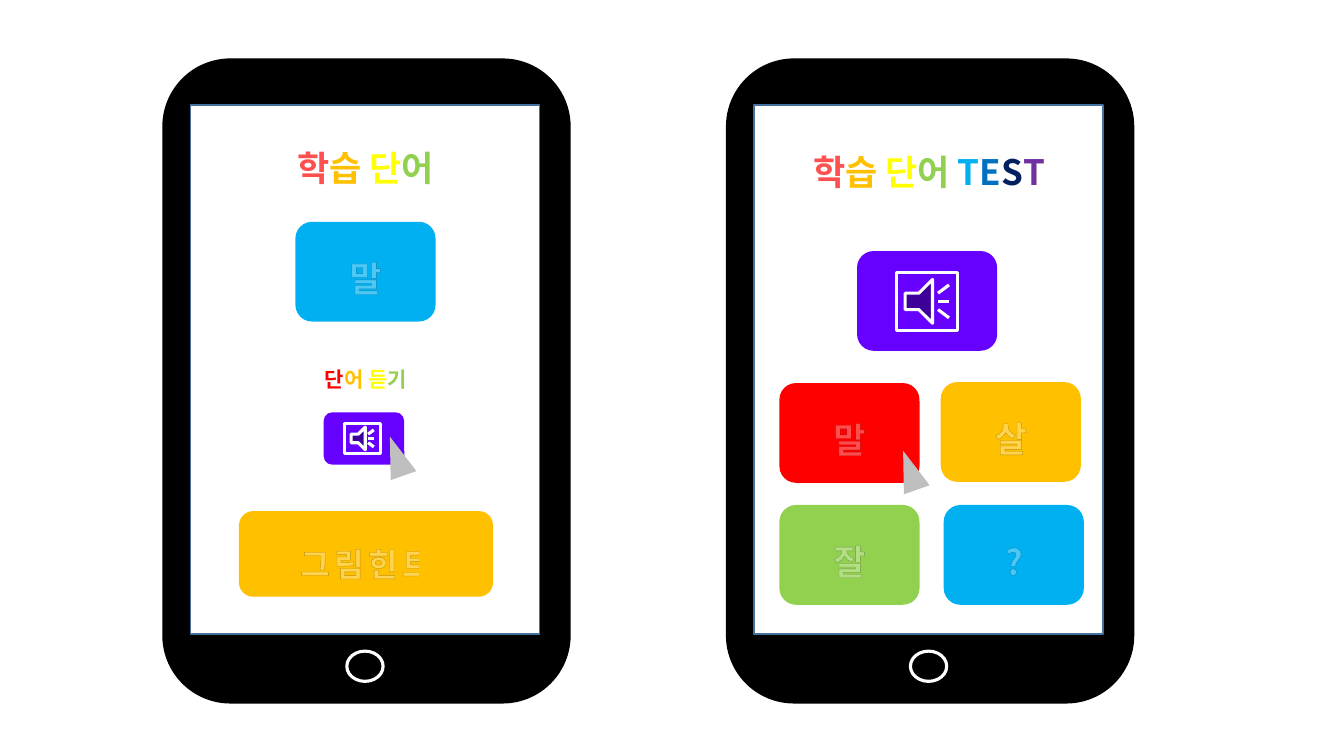
from dataclasses import dataclass

import pptx
import pptx.dml.color
import pptx.enum.shapes
import pptx.enum.text
import pptx.oxml
import pptx.oxml.ns
import pptx.util
from pptx.util import Inches

SHAPE = pptx.enum.shapes.MSO_SHAPE


@dataclass(frozen=True)
class Theme:
    font: str = "Noto Sans CJK KR"
    black: str = "000000"
    white: str = "FFFFFF"
    screen_edge: str = "43739E"
    text_edge: str = "262626"
    cursor: str = "BFBFBF"
    coral: str = "FF5050"
    red: str = "FF0000"
    amber: str = "FFC000"
    yellow: str = "FFFF00"
    green: str = "92D050"
    sky: str = "00B0F0"
    blue: str = "0070C0"
    navy: str = "002060"
    plum: str = "7030A0"
    violet: str = "6600FF"
    title_size: int = 25
    hint_size: int = 23
    caption_size: int = 15
    label_spacing: int = 300
    icon_line: float = 2.25


class Mockup:
    def __init__(self, slide, theme):
        self.slide = slide
        self.theme = theme

    def shape(self, kind, left, top, width, height, fill, line=None, line_width=1):
        shape = self.slide.shapes.add_shape(
            kind, Inches(left), Inches(top), Inches(width), Inches(height))
        shape.shadow.inherit = False
        shape.fill.solid()
        shape.fill.fore_color.rgb = pptx.dml.color.RGBColor.from_string(fill)
        if line:
            shape.line.color.rgb = pptx.dml.color.RGBColor.from_string(line)
            shape.line.width = pptx.util.Pt(line_width)
        else:
            shape.line.fill.background()
        return shape

    def text(self, left, top, width, height, pieces, size, line_spacing=None, tracking=None):
        box = self.slide.shapes.add_textbox(
            Inches(left), Inches(top), Inches(width), Inches(height))
        frame = box.text_frame
        frame.word_wrap = False
        frame.auto_size = pptx.enum.text.MSO_AUTO_SIZE.SHAPE_TO_FIT_TEXT
        paragraph = frame.paragraphs[0]
        paragraph.alignment = pptx.enum.text.PP_ALIGN.CENTER
        if line_spacing:
            paragraph.line_spacing = line_spacing
        paragraph.font.size = pptx.util.Pt(size)
        paragraph.font.bold = True
        paragraph.font.name = self.theme.font
        for words, color in pieces:
            run = paragraph.add_run()
            run.text = words
            run.font.color.rgb = pptx.dml.color.RGBColor.from_string(color)
            self.outline(run, tracking)

    def outline(self, run, tracking):
        """Thin translucent letter edge, East Asian font and letter spacing."""
        properties = run.font._element
        namespace = pptx.oxml.ns.nsdecls("a")
        properties.insert(0, pptx.oxml.parse_xml(
            f'<a:ln {namespace} w="9525"><a:solidFill><a:srgbClr val="{self.theme.text_edge}">'
            '<a:alpha val="30000"/></a:srgbClr></a:solidFill></a:ln>'))
        properties.append(pptx.oxml.parse_xml(
            f'<a:ea {namespace} typeface="{self.theme.font}"/>'))
        if tracking:
            properties.set("spc", str(tracking))

    def phone(self, left):
        t = self.theme
        self.shape(SHAPE.ROUNDED_RECTANGLE, left, 0.58, 4.05, 6.4, t.black)
        self.shape(SHAPE.RECTANGLE, left + 0.28, 1.04, 3.46, 5.25, t.white, t.screen_edge)
        self.shape(SHAPE.OVAL, left + 1.83, 6.46, 0.36, 0.3, t.black, t.white, t.icon_line)

    def button(self, left, top, fill, width=1.39, height=0.99):
        self.shape(SHAPE.ROUNDED_RECTANGLE, left, top, width, height, fill)

    def word_button(self, left, top, fill, word, width=1.39, height=0.99,
                    size=None, label_width=0.59):
        self.button(left, top, fill, width, height)
        self.text(left + (width - label_width) / 2, top + 0.09, label_width, 0.63,
                  [(word, self.theme.white)], size or self.theme.title_size,
                  line_spacing=1.5, tracking=self.theme.label_spacing)

    def sound_icon(self, left, top, width, height):
        self.shape(SHAPE.ACTION_BUTTON_SOUND, left, top, width, height,
                   self.theme.violet, self.theme.white, self.theme.icon_line)

    def cursor(self, left, top):
        pointer = self.shape(SHAPE.ISOSCELES_TRIANGLE, left, top, 0.27, 0.41, self.theme.cursor)
        pointer.rotation = 340.7


presentation = pptx.Presentation()
presentation.slide_width = Inches(13.33)
presentation.slide_height = Inches(7.5)
theme = Theme()
mockup = Mockup(presentation.slides.add_slide(presentation.slide_layouts[6]), theme)

heading = [("학", theme.coral), ("습 ", theme.amber), ("단", theme.yellow)]

# Study screen
mockup.phone(1.61)
mockup.text(2.78, 1.4, 1.69, 0.52, heading + [("어", theme.green)], theme.title_size)
mockup.word_button(2.93, 2.2, theme.sky, "말")

# Listening button
listen_caption = [("단", theme.red), ("어 ", theme.amber),
                  ("듣", theme.yellow), ("기", theme.green)]
mockup.text(3.08, 3.59, 1.1, 0.35, listen_caption, theme.caption_size)
mockup.button(3.21, 4.09, theme.violet, 0.8, 0.52)
mockup.sound_icon(3.42, 4.2, 0.35, 0.3)

# Picture hint
mockup.word_button(2.37, 5.07, theme.amber, "그림힌트", 2.52, 0.85,
                   theme.hint_size, label_width=1.64)
mockup.cursor(3.8, 4.32)

# Test screen
mockup.phone(7.2)
test_heading = heading + [("어 ", theme.green), ("T", theme.sky), ("E", theme.blue),
                          ("S", theme.navy), ("T ", theme.plum)]
mockup.text(7.8, 1.44, 2.91, 0.52, test_heading, theme.title_size)
mockup.button(8.5, 2.49, theme.violet)
mockup.sound_icon(8.89, 2.7, 0.61, 0.58)

# Answer choices
answers = [
    (7.73, 3.8, theme.red, "말"),
    (9.33, 3.79, theme.amber, "살"),
    (7.73, 5.01, theme.green, "잘"),
    (9.36, 5.01, theme.sky, "?"),
]
for left, top, fill, word in answers:
    mockup.word_button(left, top, fill, word)
mockup.cursor(8.89, 4.46)

presentation.save("out.pptx")
